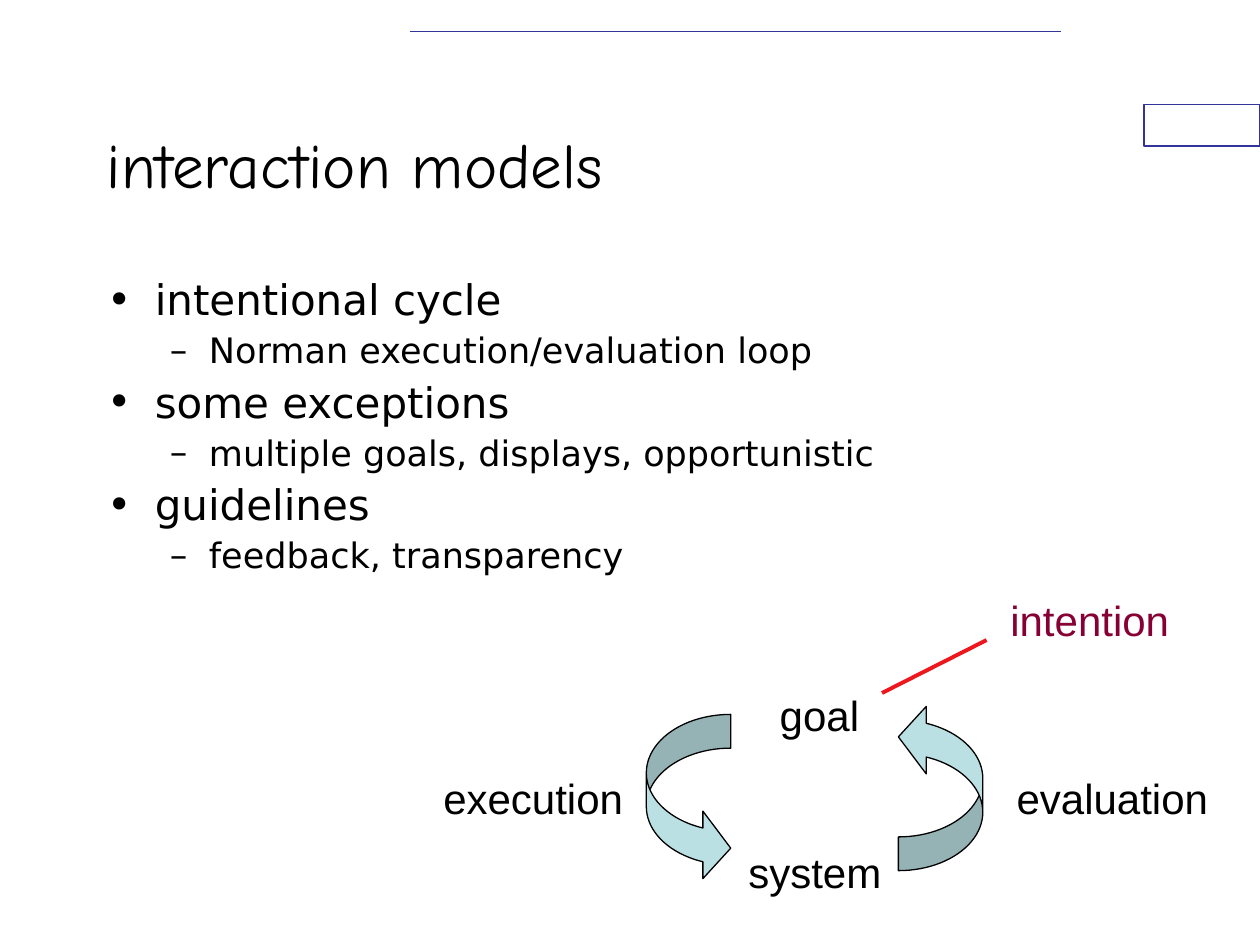
from lxml.etree import SubElement
from pptx import Presentation
from pptx.dml.color import RGBColor
from pptx.enum.shapes import MSO_CONNECTOR, MSO_SHAPE
from pptx.enum.text import MSO_ANCHOR
from pptx.oxml.ns import qn
from pptx.util import Inches, Pt

TITLE = "interaction models"
BODY_FONT = "DejaVu Sans"
POINTS = [
    ("intentional cycle", "Norman execution/evaluation loop"),
    ("some exceptions", "multiple goals, displays, opportunistic"),
    ("guidelines", "feedback, transparency"),
]
# Bullet, indent, hanging indent, text size, space before for each level
LEVELS = [("•", 0.38, 0.38, 24, 6), ("–", 0.81, 0.31, 20, 5)]
# Word, left, top, width, colour
WORDS = [
    ("system", 5.84, 6.67, 1.35, "000000"),
    ("evaluation", 7.97, 6.08, 1.8, "000000"),
    ("execution", 3.42, 6.08, 1.7, "000000"),
    ("goal", 6.09, 5.42, 0.9, "000000"),
    ("intention", 7.92, 4.67, 1.55, "870035"),
]
# Left, top, turn of each loop arrow
ARROWS = [(5.13, 5.67, 0), (7.13, 5.58, 180)]
# Start, end, colour, weight
LINES = [
    ((3.25, 0.25), (8.42, 0.25), "333399", 1),
    ((7.83, 5.08), (7, 5.5), "ED181E", 2.25),
]

deck = Presentation()
deck.slide_width, deck.slide_height = Inches(10), Inches(7.5)
slide = deck.slides.add_slide(deck.slide_layouts[6])


def color(code):
    return RGBColor.from_string(code)


def add_box(left, top, width, height, anchor=MSO_ANCHOR.TOP):
    box = slide.shapes.add_textbox(*map(Inches, (left, top, width, height)))
    frame = box.text_frame
    frame.word_wrap, frame.vertical_anchor = True, anchor
    return frame


def write(para, text, size=24, font="Arial", ink="000000"):
    run = para.add_run()
    run.text = text
    run.font.size, run.font.name = Pt(size), font
    run.font.color.rgb = color(ink)


def set_bullet(para, level):
    """Give the paragraph its level's bullet, indents and spacing."""
    mark, left, hang, _, gap = LEVELS[level]
    para.level, para.line_spacing, para.space_before = level, 0.9, Pt(gap)
    props = para._p.get_or_add_pPr()
    props.set("marL", str(Inches(left)))
    props.set("indent", str(-Inches(hang)))
    SubElement(props, qn("a:buFont")).set("typeface", BODY_FONT)
    SubElement(props, qn("a:buChar")).set("char", mark)


def add_shape(kind, left, top, width, height, fill, line):
    shape = slide.shapes.add_shape(
        kind, *map(Inches, (left, top, width, height)))
    shape.shadow.inherit = False
    shape.fill.solid()
    shape.fill.fore_color.rgb = color(fill)
    shape.line.color.rgb = color(line)
    shape.line.width = Pt(0.75)
    return shape


def add_line(start, end, ink, weight):
    line = slide.shapes.add_connector(
        MSO_CONNECTOR.STRAIGHT, *map(Inches, start + end))
    line.line.color.rgb = color(ink)
    line.line.width = Pt(weight)
    SubElement(line._element.spPr, qn("a:effectLst"))


add_shape(MSO_SHAPE.RECTANGLE, 9.08, 0.83, 0.92, 0.33, "FFFFFF", "333399")

title = add_box(0.75, 0.67, 7.5, 1.25, anchor=MSO_ANCHOR.MIDDLE)
write(title.paragraphs[0], TITLE, size=36, font="Comic Neue")

body = add_box(0.75, 2.17, 8.58, 2.92)
for row, point in enumerate(POINTS):
    for level, text in enumerate(point):
        first = row == level == 0
        para = body.paragraphs[0] if first else body.add_paragraph()
        set_bullet(para, level)
        write(para, text, size=LEVELS[level][3], font=BODY_FONT)

for word, left, top, width, ink in WORDS:
    frame = add_box(left, top, width, 0.5)
    write(frame.paragraphs[0], word, ink=ink)

for left, top, turn in ARROWS:
    arrow = add_shape(MSO_SHAPE.CURVED_RIGHT_ARROW, left, top, 0.67, 1.33,
                      "BBE0E3", "000000")
    arrow.rotation = turn
    for slot, share in enumerate((0.4, 0.8, 0.33)):
        arrow.adjustments[slot] = share

for line in LINES:
    add_line(*line)

deck.save("out.pptx")
